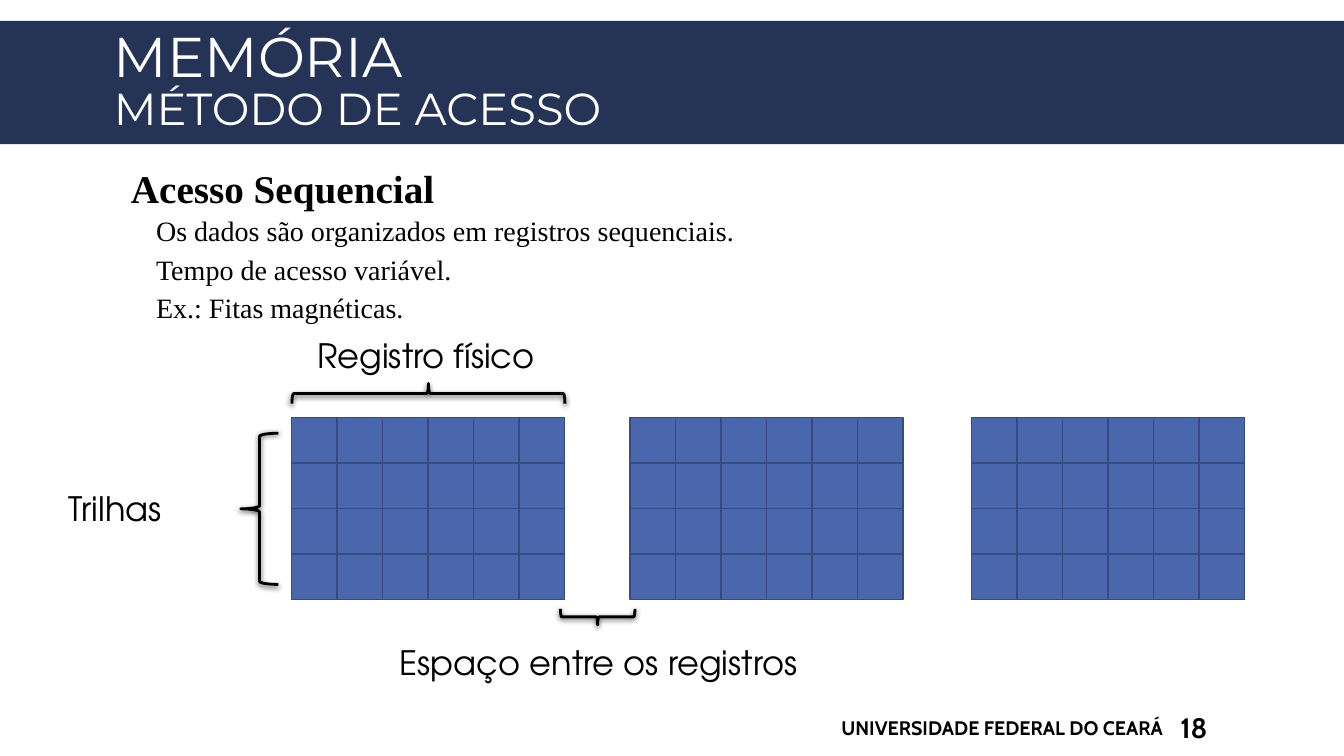
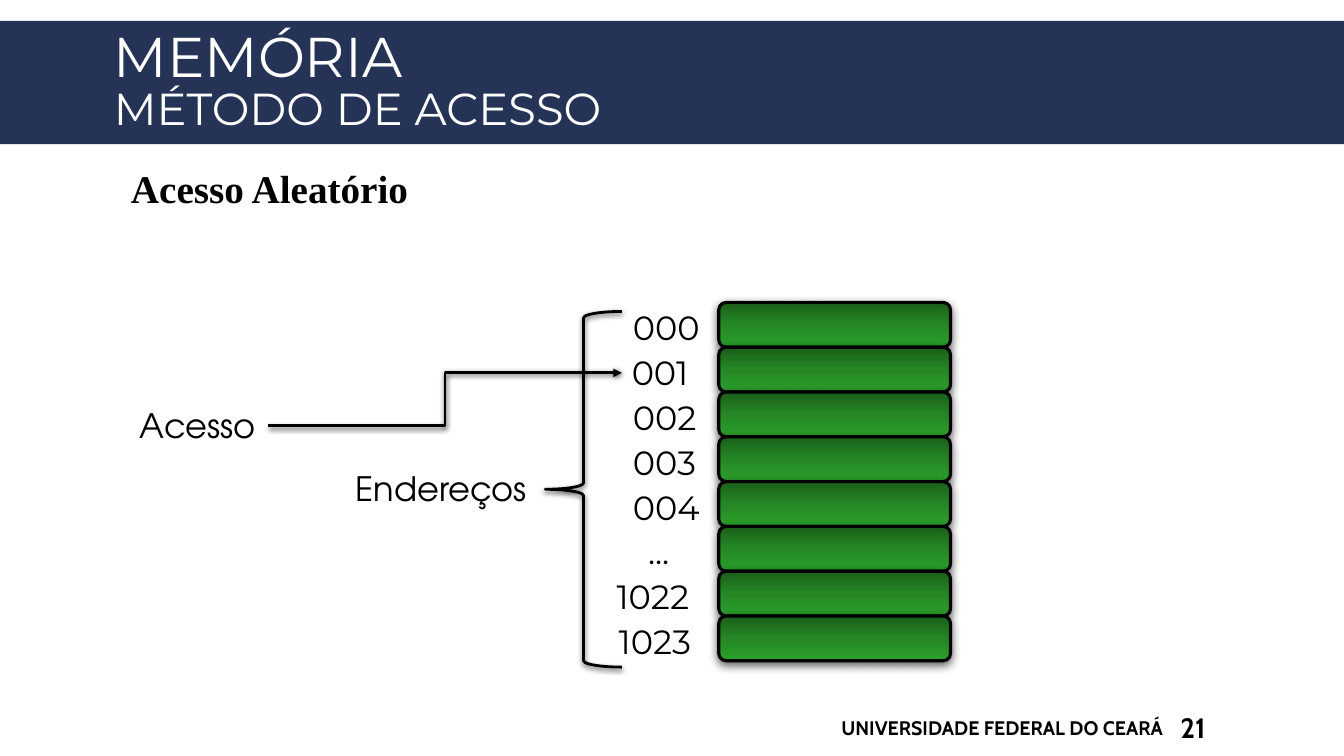
from copy import deepcopy
from typing import NamedTuple

from pptx import Presentation
from pptx.dml.color import RGBColor
from pptx.enum.shapes import MSO_CONNECTOR, MSO_SHAPE
from pptx.enum.text import MSO_ANCHOR, MSO_AUTO_SIZE, PP_ALIGN
from pptx.oxml.ns import qn
from pptx.util import Pt
from lxml.etree import SubElement

# Shared colours and fonts
NAVY, WHITE, BLACK = "253356", "FFFFFF", "000000"
CELL_FILL, CELL_LINE = "4A66AC", "374B7F"
GREENS = ((0, "1A5F1A"), (0.5, "258725"), (1, "2BA12B"))
TITLE_FONT, BODY_FONT = "Montserrat", "Times New Roman"
LABEL_FONT, FOOTER_FONT = "TeX Gyre Adventor", "Cabin"


class Box(NamedTuple):
    left: float
    top: float
    width: float
    height: float


class Label(NamedTuple):
    text: str
    left: float
    top: float
    width: float
    font: str = LABEL_FONT


class Brace(NamedTuple):
    box: Box
    rotation: int = 0


class Shadow(NamedTuple):
    blur: float
    distance: float
    opacity: int


LINE_SHADOW = Shadow(4, 1.2, 68)
WORD_SHADOW = Shadow(7, 2.2, 63)

# Sequential access: three records of 4 tracks
CELL, COLUMNS, TRACKS = 32.5, 6, 4
RECORD_LEFTS, RECORD_TOP = (208.3, 450, 694), 298.2
TAPE_BRACES = (
    Brace(Box(172, 309.5, 26.8, 108)),
    Brace(Box(298.8, 183.6, 14.4, 195), 90),
    Brace(Box(421.2, 414, 11.5, 53.3), 270),
)
TAPE_LABELS = (
    Label("Trilhas", 41.8, 345, 82.8),
    Label("Registro físico", 219.6, 235.4, 172),
    Label("Espaço entre os registros", 278.6, 455, 303),
)

# Random access: a column of memory words with addresses
WORD = Box(513.4, 216, 165.6, 32)
ADDRESSES = (("000", 445, 63.4), ("001", 444.2, 63.4), ("002", 445, 63.4),
             ("003", 445, 63.4), ("004", 445, 63.4), ("...", 455.8, 38.9),
             ("1022", 433.4, 79.2), ("1023", 434.9, 79.2))
ADDRESS_BRACE = Brace(Box(389.5, 222.5, 54.7, 254))
ACCESS_LABELS = (
    Label("Endereços", 247, 330.5, 139),
    Label("Acesso", 92.9, 285.8, 98.6),
)


def rgb(color: str) -> RGBColor:
    return RGBColor.from_string(color)


def style(font, name: str, size: float | None, color: str = BLACK, bold: bool = False) -> None:
    font.name = name
    font.bold = bold
    font.color.rgb = rgb(color)
    if size:
        font.size = Pt(size)


def cast_shadow(sp, shadow: Shadow) -> None:
    spPr = sp._element.spPr
    effects = spPr.find(qn("a:effectLst"))
    if effects is None:
        effects = SubElement(spPr, qn("a:effectLst"))
    outer = SubElement(effects, qn("a:outerShdw"), blurRad=str(Pt(shadow.blur)),
                       dist=str(Pt(shadow.distance)), dir="5400000", rotWithShape="0")
    color = SubElement(outer, qn("a:srgbClr"), val=BLACK)
    SubElement(color, qn("a:alpha"), val=str(shadow.opacity * 1000))


def add_preset(s, kind, box: Box, fill: str | None = None,
               line: str | None = None, weight: float = 1):
    sp = s.shapes.add_shape(kind, *map(Pt, box))
    sp.shadow.inherit = False
    if fill:
        sp.fill.solid()
        sp.fill.fore_color.rgb = rgb(fill)
    else:
        sp.fill.background()
    if line:
        sp.line.color.rgb = rgb(line)
        sp.line.width = Pt(weight)
    else:
        sp.line.fill.background()
    return sp


def add_brace(s, brace: Brace) -> None:
    sp = add_preset(s, MSO_SHAPE.LEFT_BRACE, brace.box, line=BLACK, weight=2)
    sp.rotation = brace.rotation
    cast_shadow(sp, LINE_SHADOW)


def add_frame(s, box: Box, anchor=MSO_ANCHOR.MIDDLE):
    tf = s.shapes.add_textbox(*map(Pt, box)).text_frame
    tf.word_wrap = True
    tf.vertical_anchor = anchor
    return tf


def add_label(s, label: Label) -> None:
    tf = add_frame(s, Box(label.left, label.top, label.width, 36), MSO_ANCHOR.TOP)
    tf.word_wrap = False
    tf.auto_size = MSO_AUTO_SIZE.SHAPE_TO_FIT_TEXT
    p = tf.paragraphs[0]
    p.text = label.text
    style(p.font, label.font, 24)


def add_body(s, heading: str, items: tuple[str, ...] = ()) -> None:
    tf = add_frame(s, Box(72, 117.4, 816, 120 if items else 42.5), MSO_ANCHOR.TOP)
    for i, text in enumerate((heading, *items)):
        p = tf.add_paragraph() if i else tf.paragraphs[0]
        p.text = text
        p.line_spacing = 0.9
        p.space_before = Pt(2 if i else 0)
        p.space_after = Pt(4 if i else 2)
        p._p.get_or_add_pPr().set("marL", str(Pt(32.4 if i else 14.4)))
        style(p.font, BODY_FONT, 20 if i else 28, bold=not i)


def add_base(prs, number: int):
    s = prs.slides.add_slide(prs.slide_layouts[6])
    # Title band
    add_preset(s, MSO_SHAPE.RECTANGLE, Box(0, 15, 960, 88), NAVY)
    p = add_frame(s, Box(74.2, 18, 816, 83.5)).paragraphs[0]
    p.line_spacing = 0.85
    style(p.font, TITLE_FONT, None, WHITE)
    r = p.add_run()
    r.text = "MEMÓRIA"
    r.font.size = Pt(40)
    p.add_line_break()
    r = p.add_run()
    r.text = "MÉTODO DE ACESSO"
    r.font.size = Pt(32)
    # Footer and slide number
    p = add_frame(s, Box(440.6, 505.4, 397.4, 28.8)).paragraphs[0]
    p.text = "UNIVERSIDADE FEDERAL DO CEARÁ"
    p.alignment = PP_ALIGN.RIGHT
    style(p.font, FOOTER_FONT, 14, bold=True)
    tf = add_frame(s, Box(839.5, 505.4, 74.2, 28.8))
    tf.margin_left = Pt(3.6)
    p = tf.paragraphs[0]
    p.text = str(number)
    style(p.font, FOOTER_FONT, 20, bold=True)
    return s


def add_word(s, top: float) -> None:
    sp = add_preset(s, MSO_SHAPE.ROUNDED_RECTANGLE, WORD._replace(top=top),
                    line=BLACK, weight=2.25)
    sp.fill.gradient()
    sp.fill.gradient_angle = 270
    stops = sp._element.spPr.find(".//" + qn("a:gsLst"))
    stops.insert(1, deepcopy(stops[0]))
    for stop, (position, color) in zip(sp.fill.gradient_stops, GREENS):
        stop.position = position
        stop.color.rgb = rgb(color)
    cast_shadow(sp, WORD_SHADOW)


def add_access_arrow(s) -> None:
    arrow = s.shapes.add_connector(MSO_CONNECTOR.ELBOW, Pt(191.5), Pt(304.2),
                                   Pt(444.2), Pt(266.4))
    arrow.line.color.rgb = rgb(BLACK)
    arrow.line.width = Pt(2)
    SubElement(arrow.line._get_or_add_ln(), qn("a:tailEnd"), type="triangle")
    cast_shadow(arrow, LINE_SHADOW)


def build_sequential(prs) -> None:
    s = add_base(prs, 18)
    add_body(s, "Acesso Sequencial", (
        "Os dados são organizados em registros sequenciais.",
        "Tempo de acesso variável.",
        "Ex.: Fitas magnéticas.",
    ))
    for left in RECORD_LEFTS:
        for track in range(TRACKS):
            for column in range(COLUMNS):
                cell = Box(left + column * CELL, RECORD_TOP + track * CELL, CELL, CELL)
                add_preset(s, MSO_SHAPE.RECTANGLE, cell, CELL_FILL, CELL_LINE)
    for brace in TAPE_BRACES:
        add_brace(s, brace)
    for label in TAPE_LABELS:
        add_label(s, label)


def build_random(prs) -> None:
    s = add_base(prs, 21)
    add_body(s, "Acesso Aleatório")
    for i, (text, left, width) in enumerate(ADDRESSES):
        top = WORD.top + i * WORD.height
        add_word(s, top)
        add_label(s, Label(text, left, top, width, TITLE_FONT))
    add_brace(s, ADDRESS_BRACE)
    for label in ACCESS_LABELS:
        add_label(s, label)
    add_access_arrow(s)


def main() -> None:
    prs = Presentation()
    prs.slide_width, prs.slide_height = Pt(960), Pt(540)
    build_sequential(prs)
    build_random(prs)
    prs.save("out.pptx")


if __name__ == "__main__":
    main()
